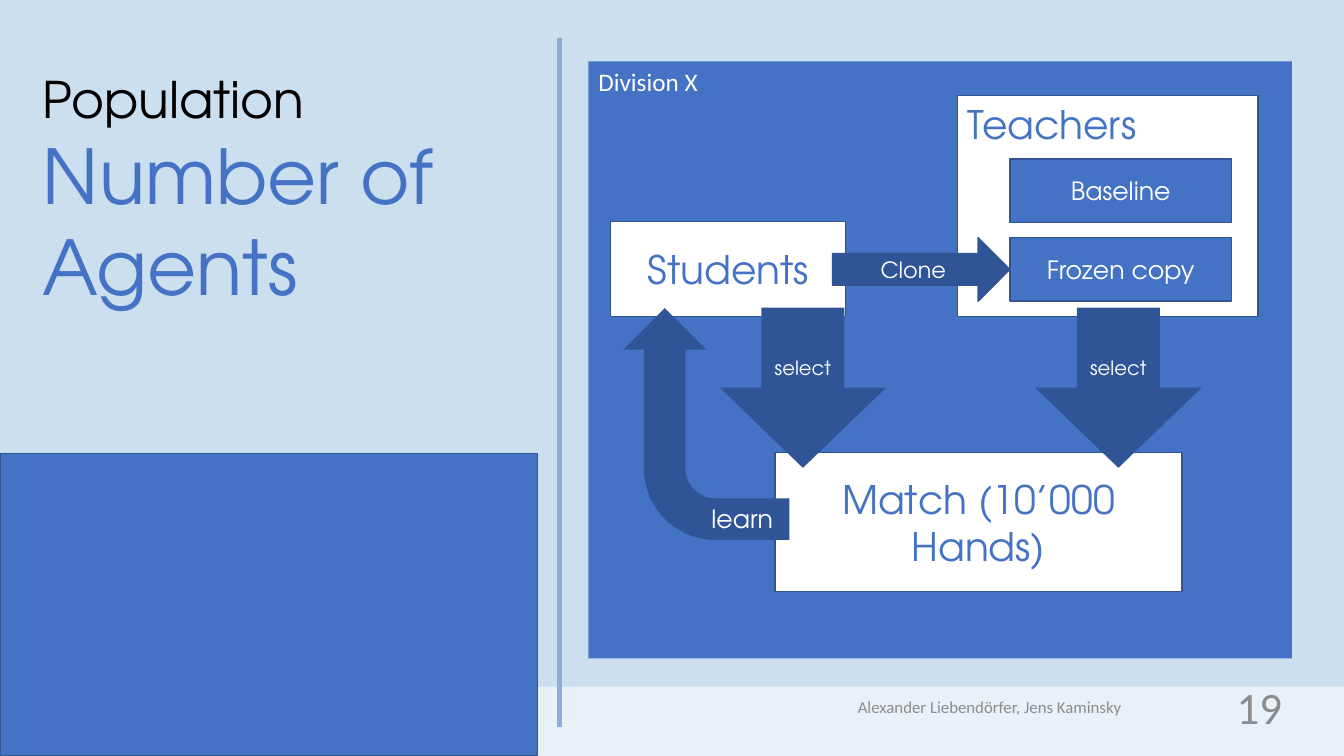
from dataclasses import dataclass
from typing import Optional

from lxml.etree import SubElement
from pptx import Presentation
from pptx.dml.color import RGBColor
from pptx.enum.shapes import MSO_CONNECTOR, MSO_SHAPE
from pptx.enum.text import MSO_ANCHOR, MSO_AUTO_SIZE, PP_ALIGN
from pptx.oxml.ns import qn
from pptx.util import Cm, Pt

BACKGROUND = RGBColor(0xCC, 0xDF, 0xEE)
STRIP = RGBColor(0xE8, 0xF1, 0xF8)
BLUE = RGBColor(0x44, 0x72, 0xC4)
DARK_BLUE = RGBColor(0x2F, 0x55, 0x97)
OUTLINE = RGBColor(0x32, 0x54, 0x91)
DIVIDER = RGBColor(0x8F, 0xAA, 0xDC)
GREY = RGBColor(0x8C, 0x8C, 0x8C)
WHITE = RGBColor(0xFF, 0xFF, 0xFF)
BLACK = RGBColor(0, 0, 0)

BODY_FONT = "Calibri"
DISPLAY_FONT = "TeX Gyre Adventor"
SLIDE_WIDTH, SLIDE_HEIGHT = 33.87, 19.05
FOOTER_TOP = 17.3


@dataclass(frozen=True)
class Block:
    """A filled shape with optional text; lengths in centimetres."""
    left: float
    top: float
    width: float
    height: float
    fill: RGBColor
    text: str = ""
    size: int = 18
    color: RGBColor = WHITE
    font: str = DISPLAY_FONT
    kind: MSO_SHAPE = MSO_SHAPE.RECTANGLE
    outline: Optional[RGBColor] = OUTLINE
    at_top_left: bool = False


def write(paragraph, text: str, *, size: int, color: RGBColor,
          font: str = DISPLAY_FONT, align: PP_ALIGN = PP_ALIGN.LEFT) -> None:
    paragraph.alignment = align
    run = paragraph.add_run()
    run.text = text
    run.font.name = font
    run.font.size = Pt(size)
    run.font.color.rgb = color


def draw_block(slide, block: Block):
    shape = slide.shapes.add_shape(block.kind, Cm(block.left), Cm(block.top),
                                   Cm(block.width), Cm(block.height))
    shape.shadow.inherit = False
    shape.fill.solid()
    shape.fill.fore_color.rgb = block.fill
    if block.outline is None:
        shape.line.fill.background()
    else:
        shape.line.color.rgb = block.outline
        shape.line.width = Pt(1)
    if block.text:
        frame = shape.text_frame
        frame.vertical_anchor = MSO_ANCHOR.TOP if block.at_top_left else MSO_ANCHOR.MIDDLE
        write(frame.paragraphs[0], block.text, size=block.size, color=block.color,
              font=block.font,
              align=PP_ALIGN.LEFT if block.at_top_left else PP_ALIGN.CENTER)
    return shape


def draw_label(slide, left: float, top: float, width: float, text: str, *,
               wrap: bool = True, anchor: MSO_ANCHOR = MSO_ANCHOR.MIDDLE,
               **text_format) -> None:
    frame = slide.shapes.add_textbox(Cm(left), Cm(top), Cm(width), Cm(1.02)).text_frame
    frame.word_wrap = wrap
    frame.vertical_anchor = anchor
    write(frame.paragraphs[0], text, **text_format)


def draw_title(slide) -> None:
    title = slide.shapes.title
    title.left, title.top, title.width, title.height = Cm(0.81), Cm(1.6), Cm(12.73), Cm(6.4)
    frame = title.text_frame
    frame.word_wrap = True
    frame.auto_size = MSO_AUTO_SIZE.NONE
    frame.vertical_anchor = MSO_ANCHOR.TOP
    write(frame.paragraphs[0], "Population", size=36, color=BLACK)
    write(frame.add_paragraph(), "Number of Agents", size=54, color=BLUE)
    for paragraph in frame.paragraphs:
        paragraph.space_before = Pt(0)


def draw_divider(slide) -> None:
    line = slide.shapes.add_connector(MSO_CONNECTOR.STRAIGHT,
                                      Cm(14.1), Cm(18.31), Cm(14.1), Cm(0.97))
    line.line.color.rgb = DIVIDER
    line.line.width = Pt(3)
    SubElement(line.element.spPr, qn("a:effectLst"))


def teacher_box(top: float, text: str) -> Block:
    return Block(25.45, top, 5.59, 1.6, BLUE, text)


def select_arrow(left: float) -> Block:
    return Block(left, 7.75, 4.19, 4.04, DARK_BLUE, "select", 14,
                 kind=MSO_SHAPE.DOWN_ARROW, outline=None)


BACKDROP = [
    Block(0, FOOTER_TOP, SLIDE_WIDTH, SLIDE_HEIGHT - FOOTER_TOP, STRIP, outline=None),
    Block(0, 11.43, 13.55, 7.62, BLUE),
]
DIAGRAM = [
    Block(14.83, 1.55, 17.73, 15.04, BLUE, "Division X", font=BODY_FONT,
          outline=None, at_top_left=True),
    Block(15.39, 5.59, 5.92, 2.39, WHITE, "Students", 28, BLUE),
    Block(24.13, 2.41, 7.57, 5.56, WHITE, "Teachers", 28, BLUE, at_top_left=True),
    Block(20.98, 5.99, 4.47, 1.6, DARK_BLUE, "Clone", 16, kind=MSO_SHAPE.RIGHT_ARROW),
    teacher_box(5.99, "Frozen copy"),
    teacher_box(4.01, "Baseline"),
    Block(19.53, 11.4, 10.26, 3.51, WHITE, "Match (10’000 Hands)", 28, BLUE),
    select_arrow(18.14),
    select_arrow(26.09),
]
LEARN_ARROW = Block(14.88, 8.59, 5.84, 4.19, DARK_BLUE,
                    kind=MSO_SHAPE.BENT_ARROW, outline=None)


def main() -> None:
    presentation = Presentation()
    presentation.slide_width = Cm(SLIDE_WIDTH)
    presentation.slide_height = Cm(SLIDE_HEIGHT)
    slide = presentation.slides.add_slide(presentation.slide_layouts[5])
    slide.background.fill.solid()
    slide.background.fill.fore_color.rgb = BACKGROUND

    # Backdrop, title and footer
    for block in BACKDROP:
        draw_block(slide, block)
    draw_title(slide)
    draw_divider(slide)
    draw_label(slide, 24.94, FOOTER_TOP, 7.62, "19", size=32, color=GREY,
               font=BODY_FONT, align=PP_ALIGN.RIGHT)
    draw_label(slide, 19.23, FOOTER_TOP, 11.43, "Alexander Liebendörfer, Jens Kaminsky",
               size=12, color=GREY, font=BODY_FONT, align=PP_ALIGN.CENTER)

    # Training cycle
    for block in DIAGRAM:
        draw_block(slide, block)
    learn_arrow = draw_block(slide, LEARN_ARROW)
    learn_arrow.rotation = 270
    for index, value in enumerate((0.25, 0.25, 0.25, 0.43)):
        learn_arrow.adjustments[index] = value
    draw_label(slide, 17.68, 12.57, 2.08, "learn", wrap=False,
               anchor=MSO_ANCHOR.TOP, size=18, color=WHITE)

    presentation.save("out.pptx")


if __name__ == "__main__":
    main()
